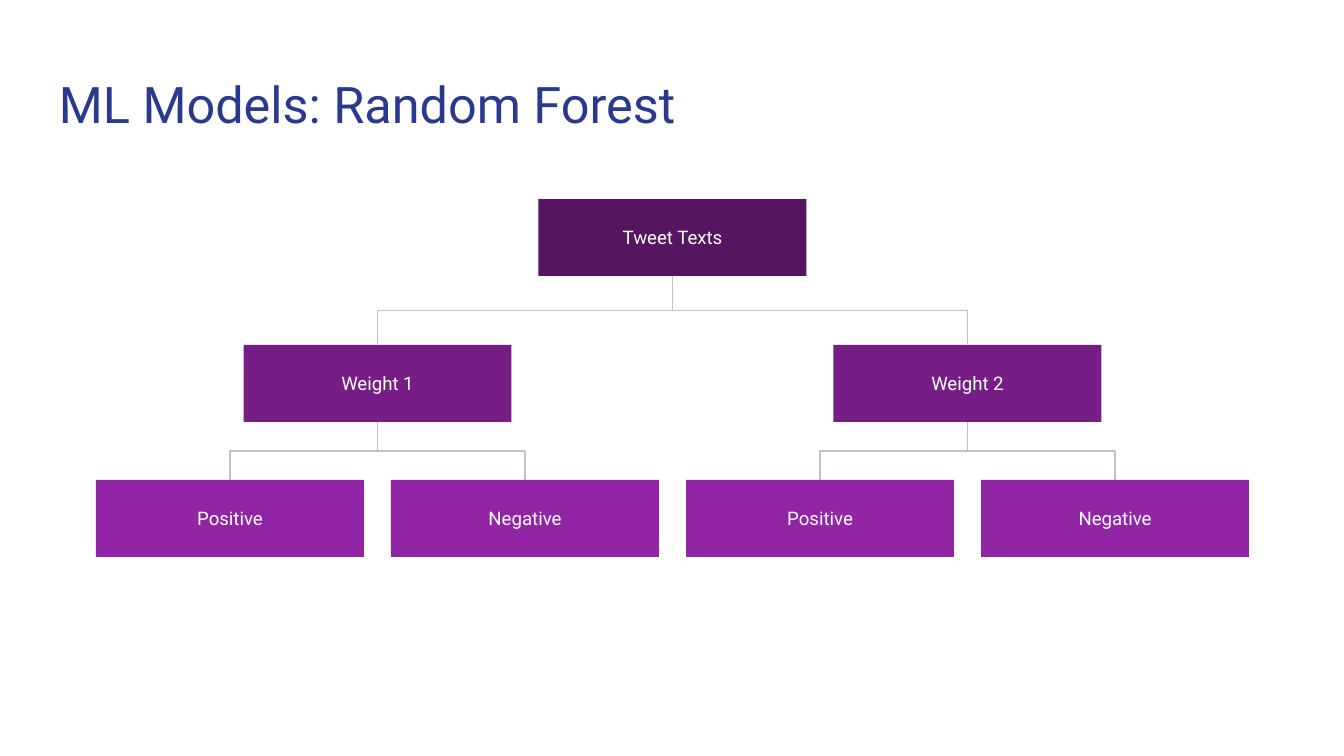
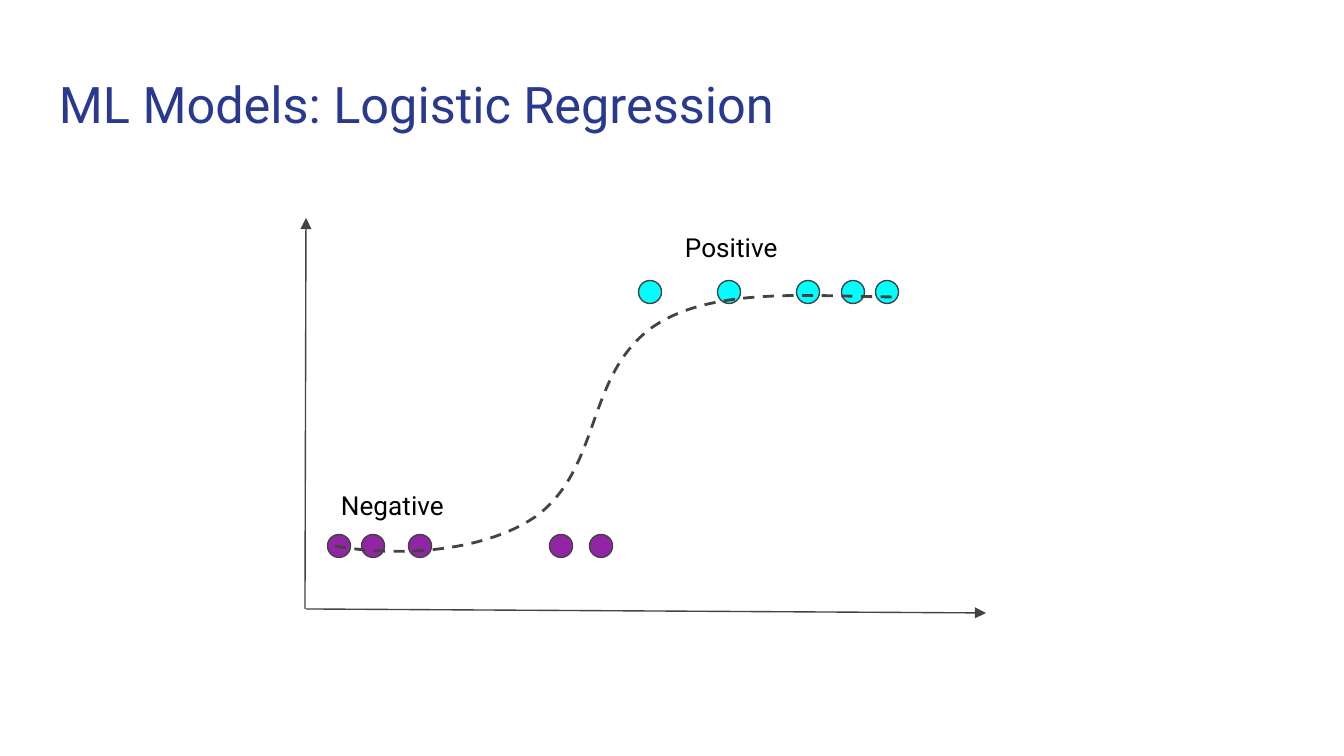
from dataclasses import dataclass

from lxml.etree import SubElement
from pptx import Presentation
from pptx.dml.color import RGBColor
from pptx.enum.dml import MSO_LINE
from pptx.enum.shapes import MSO_CONNECTOR, MSO_SHAPE
from pptx.enum.text import MSO_ANCHOR, MSO_AUTO_SIZE, PP_ALIGN
from pptx.oxml.ns import qn
from pptx.util import Emu, Pt

EMU_PER_PX = 914400 / 134.4
SLIDE_SIZE = (1344, 756)
INSET = 13


@dataclass(frozen=True)
class Theme:
    font: str = "Roboto"
    title: str = "2A3990"
    levels: tuple = ("551561", "761E86", "9225A5")
    branch: str = "C2C2C2"
    ink: str = "434343"
    label: str = "000000"
    box_text: str = "FFFFFF"
    negative: str = "9225A5"
    positive: str = "00FFFF"
    title_size: int = 27
    label_size: int = 14
    box_size: int = 10
    thin: float = 0.75
    thick: float = 1.5


THEME = Theme()

# Decision tree: (text, children)
LEAVES = [("Positive", []), ("Negative", [])]
TREE = ("Tweet Texts", [("Weight 1", LEAVES), ("Weight 2", LEAVES)])
LEVEL_TOPS = (199, 345, 480)
BOX_WIDTH, BOX_HEIGHT = 268, 77
LEAF_PITCH = 295
FIRST_LEAF = 230

# Regression plot: dot centres, and the curve as a start plus cubic control points
DOT_SIZE = 23
NEGATIVE_ROW, NEGATIVE_DOTS = 546, (339, 373, 420, 561, 601)
POSITIVE_ROW, POSITIVE_DOTS = 292, (650, 729, 808, 853, 887)
CURVE_START = (335, 546)
CURVE_POINTS = [
    (402, 558), (488, 551), (538, 515),
    (601, 466), (586, 378), (650, 329),
    (710, 285), (814, 297), (898, 297),
]


def px(*lengths):
    return [Emu(round(length * EMU_PER_PX)) for length in lengths]


def rgb(color):
    return RGBColor.from_string(color)


# Text
def write_text(frame, text, *, size, color, align=PP_ALIGN.LEFT,
               anchor=MSO_ANCHOR.TOP, fit=MSO_AUTO_SIZE.NONE):
    frame.word_wrap = True
    frame.auto_size = fit
    frame.vertical_anchor = anchor
    (frame.margin_left, frame.margin_top,
     frame.margin_right, frame.margin_bottom) = px(*[INSET] * 4)
    paragraph = frame.paragraphs[0]
    paragraph.alignment = align
    run = paragraph.add_run()
    run.text = text
    run.font.name = THEME.font
    run.font.size = Pt(size)
    run.font.color.rgb = rgb(color)


def add_title(slide, text):
    title = slide.shapes.add_textbox(*px(46, 60, 1253, 89))
    write_text(title.text_frame, text, size=THEME.title_size, color=THEME.title)


def add_label(slide, text, left, top):
    label = slide.shapes.add_textbox(*px(left, top, 140, 59))
    write_text(label.text_frame, text, size=THEME.label_size,
               color=THEME.label, fit=MSO_AUTO_SIZE.SHAPE_TO_FIT_TEXT)


# Shapes and lines
def add_filled(slide, preset, box, fill):
    shape = slide.shapes.add_shape(preset, *px(*box))
    shape.shadow.inherit = False
    shape.fill.solid()
    shape.fill.fore_color.rgb = rgb(fill)
    return shape


def style_line(line, color, width):
    line.color.rgb = rgb(color)
    line.width = Pt(width)


def add_line(slide, kind, start, end, color):
    connector = slide.shapes.add_connector(kind, *px(*start, *end))
    style_line(connector.line, color, THEME.thin)
    SubElement(connector._element.spPr, qn("a:effectLst"))
    return connector


def add_axis(slide, start, end):
    axis = add_line(slide, MSO_CONNECTOR.STRAIGHT, start, end, THEME.ink)
    SubElement(axis.line._get_or_add_ln(), qn("a:tailEnd"), type="triangle")


def add_branch(slide, parent, child):
    """Elbow that leaves the parent downwards: a turned box, flipped for a right child."""
    (x1, y1), (x2, y2) = parent, child
    drop, reach = y2 - y1, abs(x2 - x1)
    left, top = (x1 + x2 - drop) / 2, (y1 + y2 - reach) / 2
    branch = add_line(slide, MSO_CONNECTOR.ELBOW, (left, top),
                      (left + drop, top + reach), THEME.branch)
    transform = branch._element.spPr.find(qn("a:xfrm"))
    transform.set("rot", str(270 * 60000))
    if x2 > x1:
        transform.set("flipH", "1")


def add_dots(slide, centres, row, fill):
    for centre in centres:
        box = (centre - DOT_SIZE / 2, row - DOT_SIZE / 2, DOT_SIZE, DOT_SIZE)
        dot = add_filled(slide, MSO_SHAPE.FLOWCHART_CONNECTOR, box, fill)
        style_line(dot.line, THEME.ink, THEME.thin)


def add_curve(slide, start, points):
    builder = slide.shapes.build_freeform(*start, scale=EMU_PER_PX)
    builder.add_line_segments(points, close=False)
    curve = builder.convert_to_shape()
    curve.shadow.inherit = False
    curve.fill.background()
    style_line(curve.line, THEME.ink, THEME.thick)
    curve.line.dash_style = MSO_LINE.DASH
    # Join every three straight segments into one cubic segment
    segments = list(curve._element.spPr.iter(qn("a:lnTo")))
    outline = segments[0].getparent()
    for first in range(0, len(segments), 3):
        cubic = SubElement(outline, qn("a:cubicBezTo"))
        for segment in segments[first:first + 3]:
            cubic.append(segment[0])
            outline.remove(segment)


# Tree layout
def add_node(slide, node, leaf_centres, branches, level=0):
    """Draw a node centred over its children, note its branches, return its centre."""
    text, children = node
    top = LEVEL_TOPS[level]
    centres = [add_node(slide, child, leaf_centres, branches, level + 1)
               for child in children]
    centre = sum(centres) / len(centres) if centres else next(leaf_centres)
    box = add_filled(slide, MSO_SHAPE.RECTANGLE,
                     (centre - BOX_WIDTH / 2, top, BOX_WIDTH, BOX_HEIGHT),
                     THEME.levels[level])
    box.line.fill.background()
    write_text(box.text_frame, text, size=THEME.box_size, color=THEME.box_text,
               align=PP_ALIGN.CENTER, anchor=MSO_ANCHOR.MIDDLE)
    for child_centre in centres:
        branches.append(((centre, top + BOX_HEIGHT),
                         (child_centre, LEVEL_TOPS[level + 1])))
    return centre


# Slides
def add_slide(deck, title):
    slide = deck.slides.add_slide(deck.slide_layouts[6])
    add_title(slide, title)
    return slide


def build_random_forest(deck):
    slide = add_slide(deck, "ML Models: Random Forest")
    leaf_centres = iter(FIRST_LEAF + i * LEAF_PITCH for i in range(4))
    branches = []
    add_node(slide, TREE, leaf_centres, branches)
    for parent, child in branches:
        add_branch(slide, parent, child)


def build_logistic_regression(deck):
    slide = add_slide(deck, "ML Models: Logistic Regression")
    add_axis(slide, (305, 609), (306, 218))
    add_axis(slide, (306, 609), (986, 613))
    add_label(slide, "Negative", 328, 476)
    add_label(slide, "Positive", 672, 218)
    add_dots(slide, NEGATIVE_DOTS, NEGATIVE_ROW, THEME.negative)
    add_dots(slide, POSITIVE_DOTS, POSITIVE_ROW, THEME.positive)
    add_curve(slide, CURVE_START, CURVE_POINTS)


def main():
    deck = Presentation()
    deck.slide_width, deck.slide_height = px(*SLIDE_SIZE)
    build_random_forest(deck)
    build_logistic_regression(deck)
    deck.save("out.pptx")


if __name__ == "__main__":
    main()
